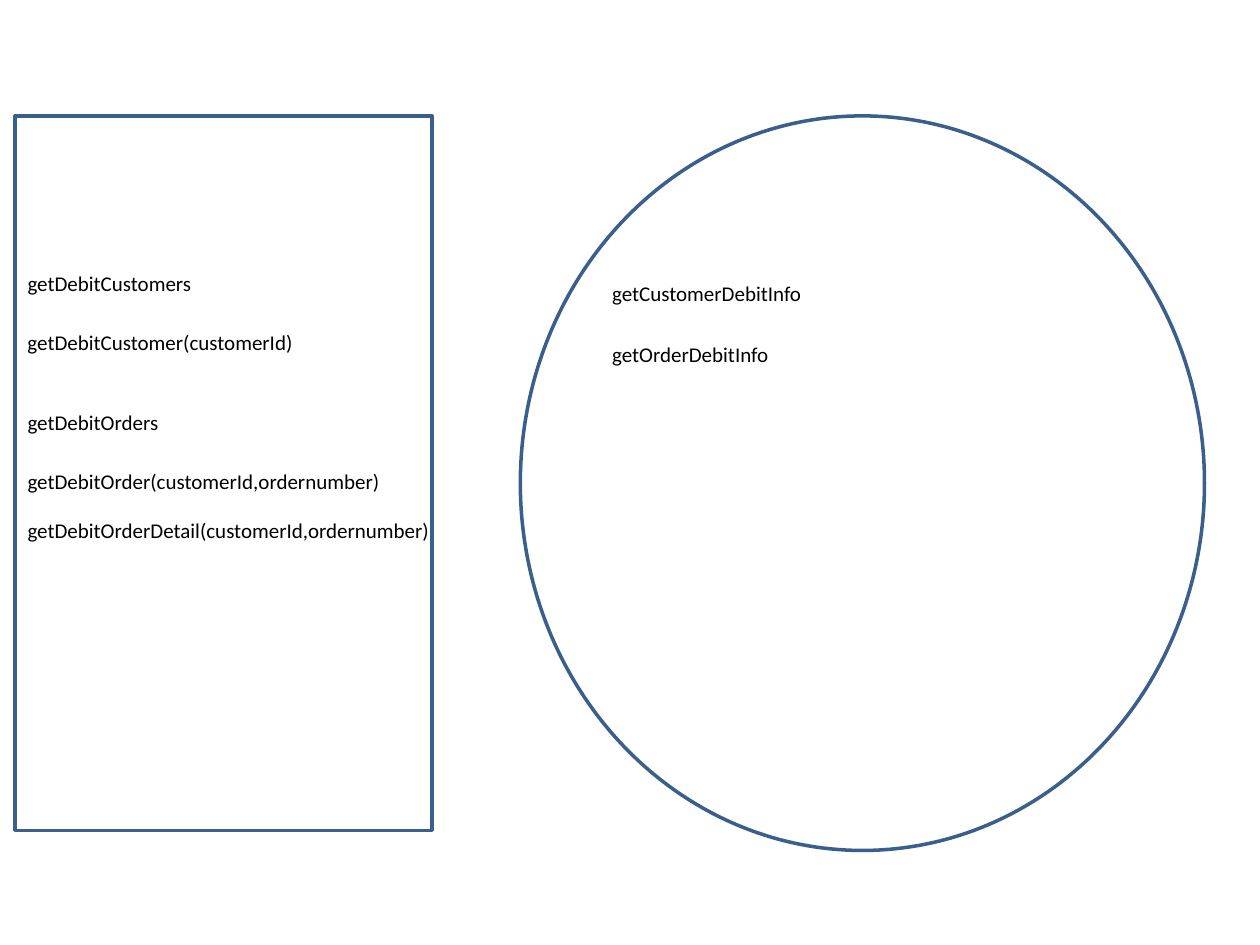
from pptx import Presentation
from pptx.dml.color import RGBColor
from pptx.enum.shapes import MSO_SHAPE
from pptx.enum.text import MSO_AUTO_SIZE
from pptx.util import Inches, Pt

RECTANGLE = MSO_SHAPE.RECTANGLE
OVAL = MSO_SHAPE.OVAL
FIT_SHAPE = MSO_AUTO_SIZE.SHAPE_TO_FIT_TEXT
BLANK_LAYOUT = 6

SERVICE_LEFT = 0.12
INFO_LEFT = 4.76
OUTLINE_TOP = 0.92

# Method name, top, width
SERVICE_METHODS = [
    ("getDebitCustomers", 2.1, 2.91),
    ("getDebitCustomer(customerId)", 2.57, 3.7),
    ("getDebitOrders", 3.2, 2.91),
    ("getDebitOrder(customerId,ordernumber)", 3.67, 4.49),
    ("getDebitOrderDetail(customerId,ordernumber)", 4.06, 4.49),
]
INFO_METHODS = [
    ("getCustomerDebitInfo", 2.18, 2.91),
    ("getOrderDebitInfo", 2.66, 2.91),
]


def color(hex_value):
    return RGBColor.from_string(hex_value)


def add_outline(slide, kind, left, top, width, height):
    shape = slide.shapes.add_shape(
        kind, Inches(left), Inches(top), Inches(width), Inches(height))
    shape.shadow.inherit = False
    shape.fill.background()
    shape.line.color.rgb = color("3A5F8C")
    shape.line.width = Pt(2)


def add_label(slide, text, left, top, width):
    box = slide.shapes.add_textbox(
        Inches(left), Inches(top), Inches(width), Inches(0.3))
    frame = box.text_frame
    frame.word_wrap = True
    frame.auto_size = FIT_SHAPE
    run = frame.paragraphs[0].add_run()
    run.text = text
    run.font.name = "Calibri"
    run.font.size = Pt(12)
    run.font.color.rgb = color("000000")


def add_methods(slide, methods, left):
    for text, top, width in methods:
        add_label(slide, text, left, top, width)


def main():
    presentation = Presentation()
    presentation.slide_width = Inches(10)
    presentation.slide_height = Inches(7.5)
    slide = presentation.slides.add_slide(
        presentation.slide_layouts[BLANK_LAYOUT])

    # Outlines
    add_outline(slide, RECTANGLE, SERVICE_LEFT, OUTLINE_TOP, 3.31, 5.67)
    add_outline(slide, OVAL, 4.13, OUTLINE_TOP, 5.43, 5.83)

    # Method names
    add_methods(slide, SERVICE_METHODS, SERVICE_LEFT)
    add_methods(slide, INFO_METHODS, INFO_LEFT)

    presentation.save("out.pptx")


main()
